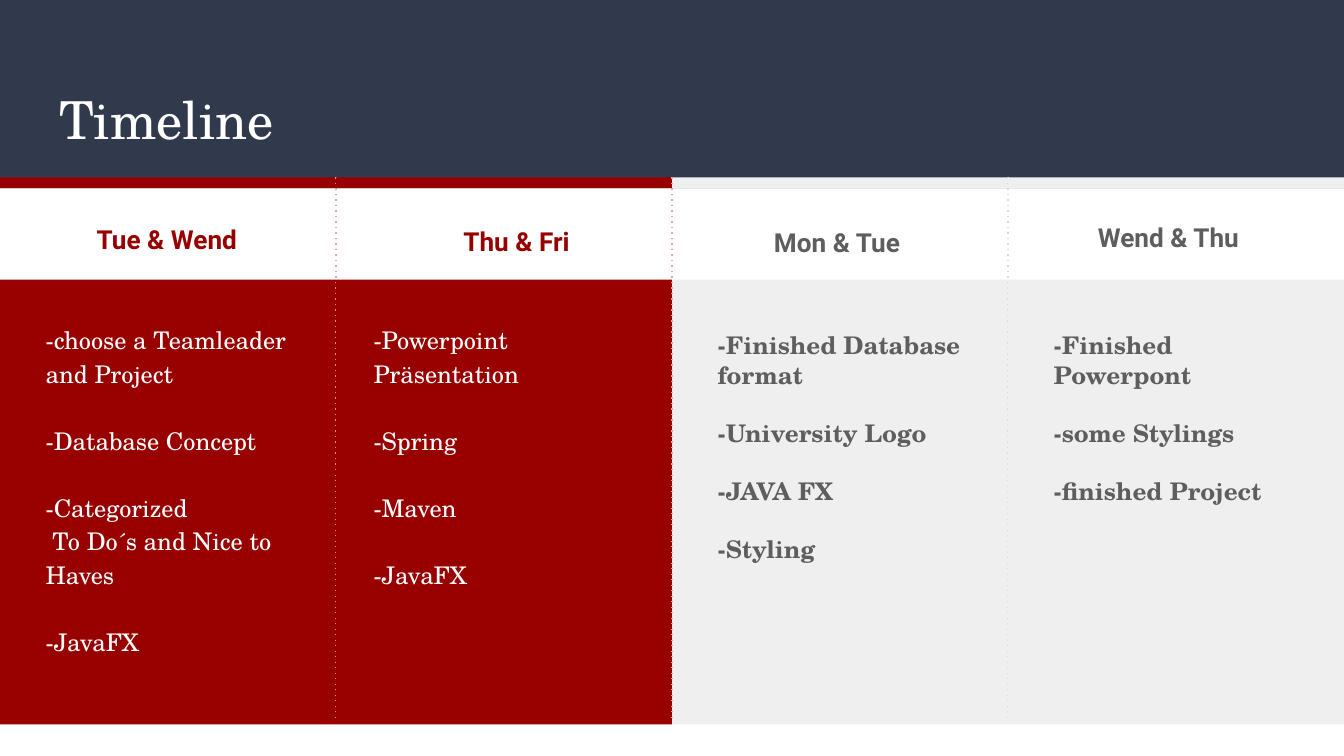
from lxml import etree
from pptx import Presentation
from pptx.dml.color import RGBColor
from pptx.enum.shapes import MSO_CONNECTOR, MSO_SHAPE
from pptx.enum.text import MSO_ANCHOR, MSO_AUTO_SIZE, PP_ALIGN
from pptx.oxml.ns import qn
from pptx.util import Inches, Pt

RECT, STRAIGHT = MSO_SHAPE.RECTANGLE, MSO_CONNECTOR.STRAIGHT
LEFT, TOP, NO_FIT = PP_ALIGN.LEFT, MSO_ANCHOR.TOP, MSO_AUTO_SIZE.NONE
SERIF, SANS = "TeX Gyre Schola", "Roboto"
COLORS = {"navy": "31394D", "red": "980000", "pale": "EFEFEF", "gray": "5E5E5E",
          "white": "FFFFFF", "pink": "EDA29B", "silver": "D9D9D9"}

# Grid: a 16:9 slide with four equal columns, rows in inches
WIDTH = 10
HEIGHT = WIDTH * 9 / 16
COLUMN = WIDTH / 4
BAND_BOTTOM, STRIP_TOP, STRIP_HEIGHT = 1.4, 1.32, 0.08
PANEL_TOP, PANEL_HEIGHT, DIVIDER_BOTTOM = 2.08, 3.31, 5.37
LIST_WIDTH = 2.03

# Per column: heading, its (offset, top, width, height), list (offset, top, height),
# style and items; a line break in an item starts a paragraph without a gap
done = {"fill": "red", "heading": "red", "text": "white", "divider": "pink",
        "bold": False, "spacing": 1.15}
planned = {"fill": "pale", "heading": "gray", "text": "gray", "divider": "silver",
           "bold": True, "spacing": 1.0}
stages = [
    ("Tue & Wend", (0.62, 1.53, 1.64, 0.47), (0.24, 2.29, 2.85), done,
     ["-choose a Teamleader and Project", "-Database Concept",
      "-Categorized\n To Do´s and Nice to Haves", "-JavaFX"]),
    ("Thu & Fri", (0.85, 1.54, 1.07, 0.47), (0.18, 2.29, 2.85), done,
     ["-Powerpoint Präsentation", "-Spring", "-Maven", "-JavaFX"]),
    ("Mon & Tue", (0.66, 1.55, 1.18, 0.37), (0.24, 2.36, 2.71), planned,
     ["-Finished Database\nformat", "-University Logo", "-JAVA FX", "-Styling"]),
    ("Wend & Thu", (0.57, 1.51, 1.37, 0.45), (0.24, 2.36, 2.71), planned,
     ["-Finished Powerpont", "-some Stylings", "-finished Project"]),
]
STACKING = (2, 0, 1, 3)  # columns from back to front


def write(holder, items, *, font, size, color, bold=False, spacing=1.0):
    """Fill a text holder, leaving one line of space between items."""
    frame = holder.text_frame
    frame.word_wrap, frame.auto_size, frame.vertical_anchor = True, NO_FIT, TOP
    frame.margin_left = frame.margin_right = Inches(0.1)
    frame.margin_top = frame.margin_bottom = Inches(0.1)
    lines = [(text, number > 0 and part == 0)
             for number, item in enumerate(items)
             for part, text in enumerate(item.split("\n"))]
    for number, (text, gap) in enumerate(lines):
        paragraph = frame.add_paragraph() if number else frame.paragraphs[0]
        paragraph.alignment, paragraph.line_spacing = LEFT, spacing
        paragraph.space_before = Pt(size * 1.2 * spacing if gap else 0)
        properties = paragraph._p.get_or_add_pPr()
        properties.set("marL", "0")
        properties.set("indent", "0")
        etree.SubElement(properties, qn("a:buNone"))
        run = paragraph.add_run()
        run.text = text
        run.font.name, run.font.size, run.font.bold = font, Pt(size), bold
        run.font.color.rgb = RGBColor.from_string(COLORS[color])


def block(left, top, width, height, color):
    """Draw a plain filled rectangle."""
    shape = slide.shapes.add_shape(RECT, *map(Inches, (left, top, width, height)))
    shape.shadow.inherit = False
    shape.fill.solid()
    shape.fill.fore_color.rgb = RGBColor.from_string(COLORS[color])
    shape.line.fill.background()


deck = Presentation()
deck.slide_width, deck.slide_height = Inches(WIDTH), Inches(HEIGHT)
slide = deck.slides.add_slide(deck.slide_layouts.get_by_name("Comparison"))
title, *lists = slide.placeholders

# Title band
block(0, 0, WIDTH, BAND_BOTTOM, "navy")

# Column panels and strips, with a dotted divider after all but the last column
for index in STACKING:
    style = stages[index][3]
    start = index * COLUMN
    block(start, PANEL_TOP, COLUMN, PANEL_HEIGHT, style["fill"])
    block(start, STRIP_TOP, COLUMN, STRIP_HEIGHT, style["fill"])
    if index == len(stages) - 1:
        continue
    edge = Inches(start + COLUMN)
    divider = slide.shapes.add_connector(
        STRAIGHT, edge, Inches(STRIP_TOP), edge, Inches(DIVIDER_BOTTOM))
    divider.line.color.rgb = RGBColor.from_string(COLORS[style["divider"]])
    divider.line.width = Pt(0.75)
    properties = divider.element.spPr
    etree.SubElement(properties.find(qn("a:ln")), qn("a:prstDash"), val="dot")
    etree.SubElement(properties, qn("a:effectLst"))

# Title, brought in front of its band
title.left, title.top, title.width, title.height = map(Inches, (0.34, 0.55, 9.32, 0.68))
write(title, ["Timeline"], font=SERIF, size=28, color="white")
title.element.getparent().append(title.element)

# Headings and lists, brought in front of the panels
for index, (name, (offset, top, width, height), place, style, tasks) in enumerate(stages):
    start = index * COLUMN
    heading = slide.shapes.add_textbox(
        *map(Inches, (start + offset, top, width, height)))
    write(heading, [name], font=SANS, size=14, color=style["heading"],
          bold=True, spacing=1.15)

    task_list = lists[index]
    offset, top, height = place
    task_list.left, task_list.top = Inches(start + offset), Inches(top)
    task_list.width, task_list.height = Inches(LIST_WIDTH), Inches(height)
    write(task_list, tasks, font=SERIF, size=13, color=style["text"],
          bold=style["bold"], spacing=style["spacing"])
    task_list.element.getparent().append(task_list.element)

deck.save("out.pptx")
